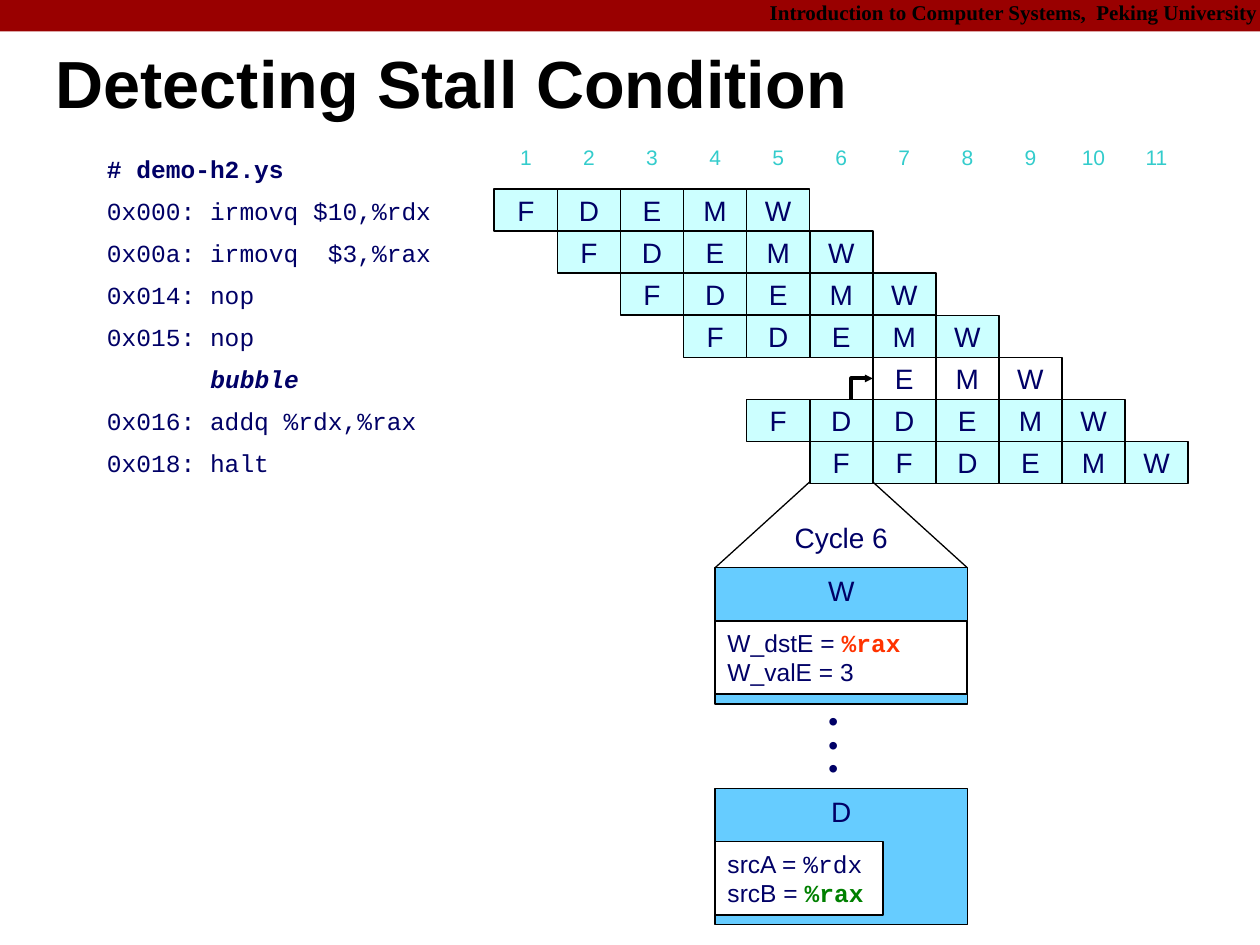
from dataclasses import dataclass, field
from typing import Optional

from lxml import etree
from pptx import Presentation
from pptx.dml.color import RGBColor
from pptx.enum.shapes import MSO_CONNECTOR as CONN, MSO_SHAPE as SHAPE
from pptx.enum.text import MSO_ANCHOR as ANCHOR, PP_ALIGN as ALIGN
from pptx.oxml.ns import qn
from pptx.util import Inches, Pt

NAVY, BLACK, WHITE = "000066", "000000", "FFFFFF"
PALE, SKY, TEAL, MAROON = "CCFFFF", "66CCFF", "33CCCC", "990000"
RED, GREEN = "FF3300", "008000"
CODE_FONT = "Courier New"

# Pipeline grid: one column per cycle, one row per instruction
GRID_X, GRID_Y = 3.92, 1.5
CELL_W, CELL_H = 0.5, 1 / 3
CYCLES = 11


@dataclass
class Run:
    text: str
    color: str = NAVY
    font: dict = field(default_factory=dict)


@dataclass
class Box:
    x: float
    y: float
    w: float
    h: float
    lines: list[list[Run]] = field(default_factory=list)
    fill: Optional[str] = None
    line: float = 0
    size: float = 16
    align: ALIGN = ALIGN.CENTER
    anchor: ANCHOR = ANCHOR.MIDDLE
    spacing: float = 1.0
    wrap: bool = False
    inset: Optional[float] = None


@dataclass
class Instruction:
    code: str
    first_cycle: int
    stages: str
    bubble: bool = False


INSTRUCTIONS = [
    Instruction("0x000: irmovq $10,%rdx", 1, "FDEMW"),
    Instruction("0x00a: irmovq  $3,%rax", 2, "FDEMW"),
    Instruction("0x014: nop", 3, "FDEMW"),
    Instruction("0x015: nop", 4, "FDEMW"),
    Instruction("bubble", 7, "EMW", bubble=True),
    Instruction("0x016: addq %rdx,%rax", 5, "FDDEMW"),
    Instruction("0x018: halt", 6, "FFDEMW"),
]


def rgb(color: str) -> RGBColor:
    return RGBColor.from_string(color)


def code(text: str, color: str = NAVY, **fmt) -> Run:
    return Run(text, color, {"name": CODE_FONT, **fmt})


def cycle_x(cycle: int) -> float:
    return GRID_X + (cycle - 1) * CELL_W


def draw_box(s, box: Box) -> None:
    at = [Inches(v) for v in (box.x, box.y, box.w, box.h)]
    if box.fill or box.line:
        sp = s.shapes.add_shape(SHAPE.RECTANGLE, *at)
        sp.shadow.inherit = False
    else:
        sp = s.shapes.add_textbox(*at)
    if box.fill:
        sp.fill.solid()
        sp.fill.fore_color.rgb = rgb(box.fill)
    else:
        sp.fill.background()
    if box.line:
        sp.line.color.rgb = rgb(BLACK)
        sp.line.width = Pt(box.line)
    else:
        sp.line.fill.background()

    tf = sp.text_frame
    frame = {"word_wrap": box.wrap, "vertical_anchor": box.anchor}
    if box.inset is not None:
        sides = ("left", "top", "right", "bottom")
        frame |= {f"margin_{side}": Inches(box.inset) for side in sides}
    for name, value in frame.items():
        setattr(tf, name, value)
    for i, runs in enumerate(box.lines):
        p = tf.add_paragraph() if i else tf.paragraphs[0]
        p.alignment, p.line_spacing = box.align, box.spacing
        for run in runs:
            r = p.add_run()
            r.text = run.text
            r.font.color.rgb = rgb(run.color)
            fmt = {"name": "Arial", "size": Pt(box.size), **run.font}
            for name, value in fmt.items():
                setattr(r.font, name, value)


def draw_line(s, x1: float, y1: float, x2: float, y2: float) -> None:
    ends = [Inches(v) for v in (x1, y1, x2, y2)]
    cxn = s.shapes.add_connector(CONN.STRAIGHT, *ends)
    cxn.line.color.rgb = rgb(BLACK)
    cxn.line.width = Pt(0.75)
    etree.SubElement(cxn._element.spPr, qn("a:effectLst"))


def draw_bent_arrow(s, points: list[tuple[float, float]]) -> None:
    start, *rest = [(Inches(x), Inches(y)) for x, y in points]
    builder = s.shapes.build_freeform(*start)
    builder.add_line_segments(rest, close=False)
    sp = builder.convert_to_shape()
    sp.shadow.inherit = False
    sp.fill.background()
    sp.line.color.rgb = rgb(BLACK)
    sp.line.width = Pt(2.25)
    etree.SubElement(sp.line._get_or_add_ln(), qn("a:tailEnd"),
                     type="triangle", w="sm", len="sm")


def draw_code(s, row: int, run: Run, indent: float = 0) -> None:
    draw_box(s, Box(0.75 + indent, GRID_Y + row * CELL_H, 2.83 - indent,
                    CELL_H, [[run]], size=14, align=ALIGN.LEFT))


def draw_pipeline(s) -> None:
    for cycle in range(1, CYCLES + 1):
        draw_box(s, Box(cycle_x(cycle), 1.08, CELL_W, CELL_H,
                        [[Run(str(cycle), TEAL)]], size=12))
    draw_code(s, -1, code("# demo-h2.ys", bold=True))
    for row, ins in enumerate(INSTRUCTIONS):
        if ins.bubble:
            draw_code(s, row, code(ins.code, bold=True, italic=True), 0.82)
        else:
            draw_code(s, row, code(ins.code))
        for i, stage in enumerate(ins.stages):
            draw_box(s, Box(cycle_x(ins.first_cycle + i),
                            GRID_Y + row * CELL_H, CELL_W, CELL_H,
                            [[Run(stage)]], line=1,
                            fill=None if ins.bubble else PALE))
    draw_bent_arrow(s, [(6.75, 3.17), (6.75, 3), (6.92, 3)])


def draw_stage(s, y: float, name: str, value_w: float,
               values: list[list[Run]]) -> None:
    x = 5.67
    draw_box(s, Box(x, y, 2, 1.08, [[Run(name)]], SKY, 0.75,
                    anchor=ANCHOR.TOP))
    draw_box(s, Box(x, y + 0.42, value_w, 0.58, values, WHITE, 1,
                    size=14, align=ALIGN.LEFT))


def draw_cycle_detail(s) -> None:
    draw_line(s, cycle_x(6), 3.82, 5.67, 4.5)
    draw_line(s, cycle_x(7), 3.82, 7.67, 4.5)
    draw_box(s, Box(5.67, 4.08, 2, 0.37, [[Run("Cycle 6")]], wrap=True,
                    anchor=ANCHOR.TOP))
    draw_stage(s, 4.5, "W", 2, [
        [Run("W_dstE = "), code("%rax", RED, bold=True)],
        [Run("W_valE = 3")]])
    draw_box(s, Box(6.47, 5.6, 0.28, 0.66, [[Run("•")]] * 3, spacing=0.7,
                    align=ALIGN.LEFT, anchor=ANCHOR.TOP))
    draw_stage(s, 6.25, "D", 1.33, [
        [Run("srcA = "), code("%rdx")],
        [Run("srcB = "), code("%rax", GREEN, bold=True)]])


def main() -> None:
    prs = Presentation()
    prs.slide_width, prs.slide_height = Inches(9.99), Inches(7.49)
    s = prs.slides.add_slide(prs.slide_layouts[6])

    # Header band and title
    draw_box(s, Box(0, 0, 9.99, 0.25, fill=MAROON))
    course = Run("Introduction to Computer Systems,  Peking University", BLACK,
                 {"name": "Times New Roman", "bold": True})
    draw_box(s, Box(6, -0.03, 4.07, 0.28, [[course]], size=12, spacing=0.9,
                    align=ALIGN.RIGHT, anchor=ANCHOR.TOP, wrap=True))
    title = Run("Detecting Stall Condition", BLACK, {"bold": True})
    draw_box(s, Box(0.44, 0.27, 9.52, 0.85, [[title]], size=38, spacing=0.87,
                    align=ALIGN.LEFT, wrap=True, inset=0))

    # Pipeline diagram and the state in cycle 6
    draw_pipeline(s)
    draw_cycle_detail(s)
    prs.save("out.pptx")


if __name__ == "__main__":
    main()
